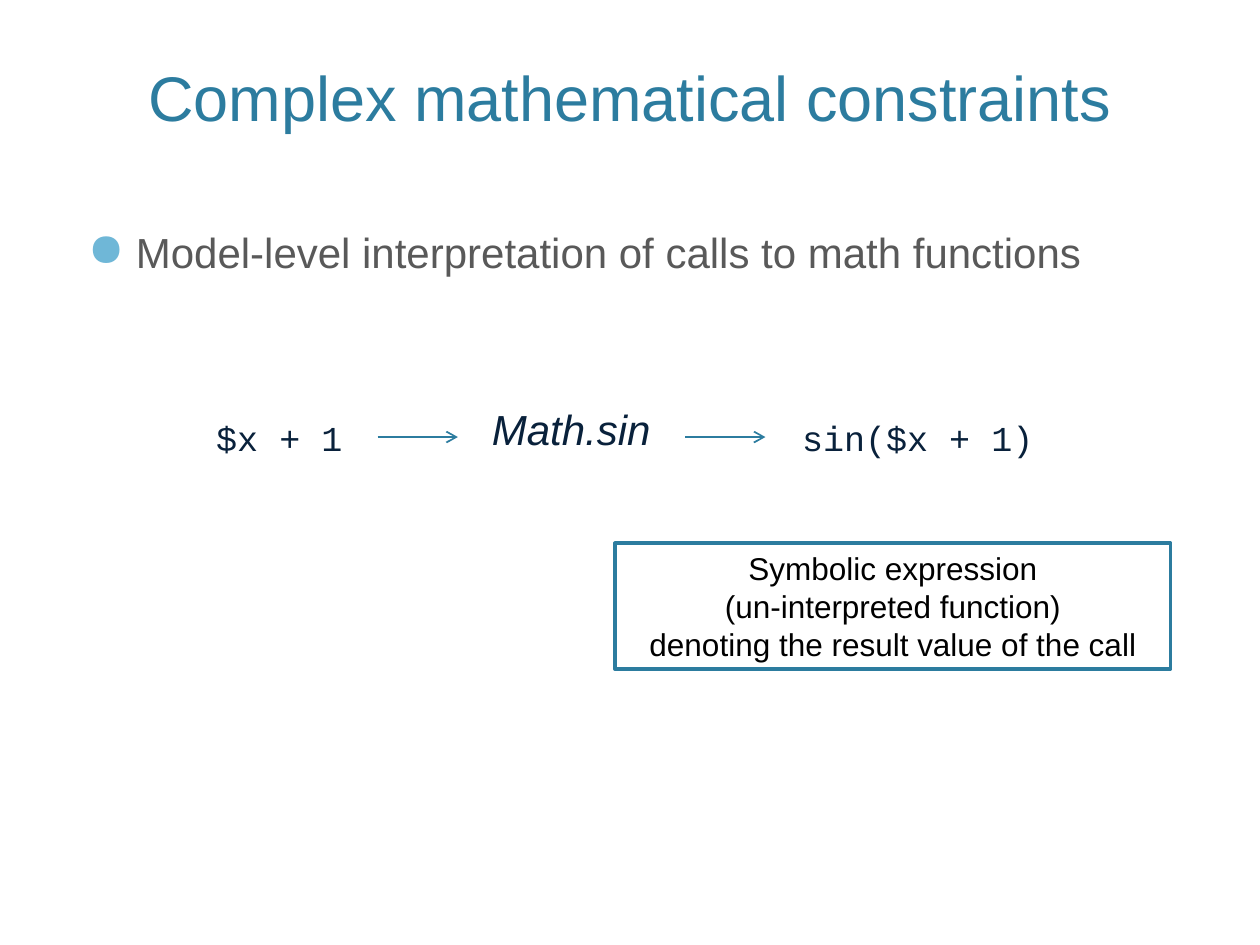
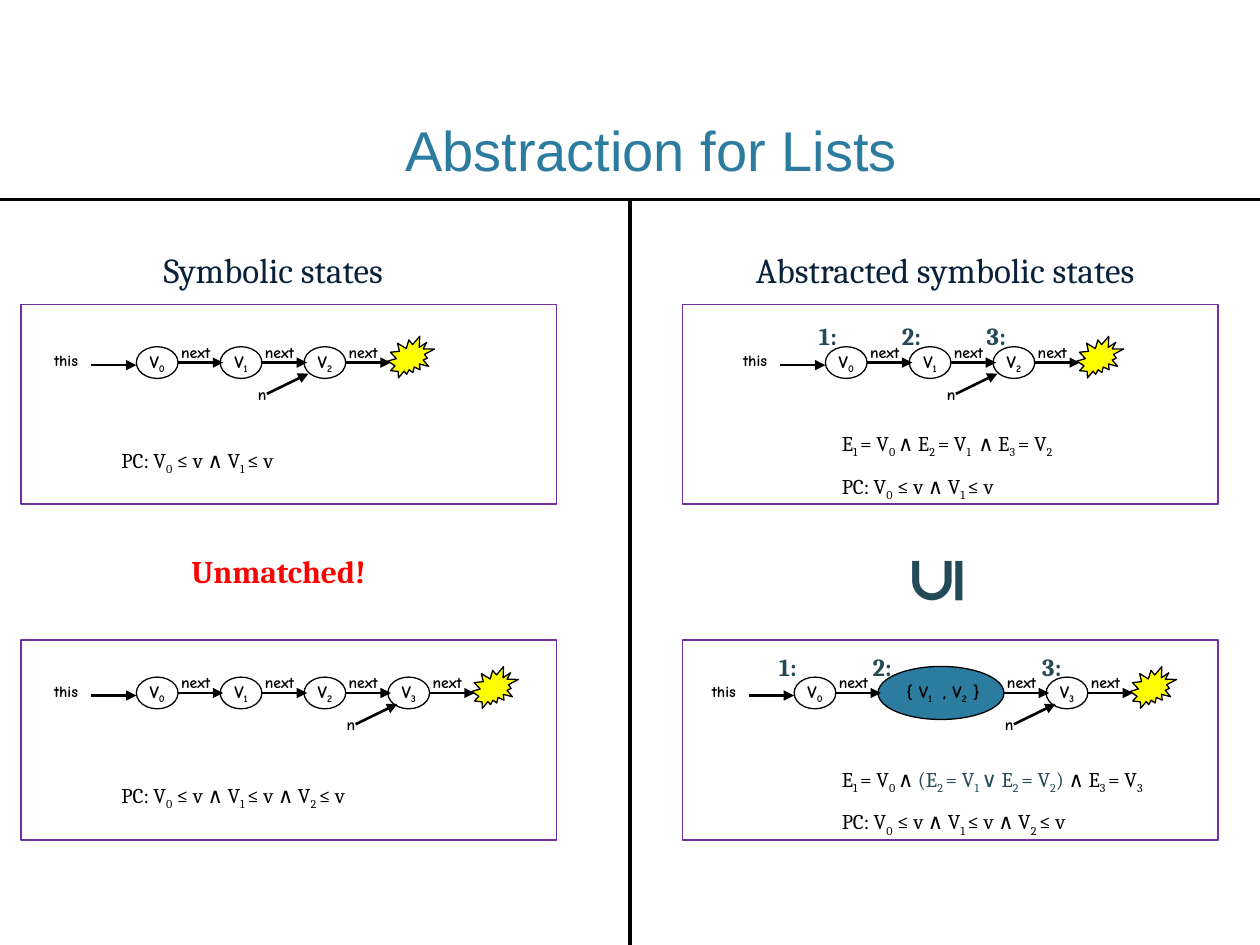
from itertools import accumulate

from lxml import etree
from pptx import Presentation
from pptx import util as u
from pptx.dml.color import RGBColor
from pptx.enum import shapes, text as t
from pptx.oxml.ns import qn

Cm, Pt = u.Cm, u.Pt
PRESET = shapes.MSO_SHAPE
ALIGN, ANCHOR = t.PP_ALIGN, t.MSO_ANCHOR

BLUE, NAVY, TEAL = "2C7C9F", "09213B", "244A58"
BLACK, WHITE, GREY = "000000", "FFFFFF", "595959"
BULLET, PURPLE, YELLOW, RED = "6FB7D7", "7030A0", "FFFF00", "FF0000"

NODE_WIDTH, NODE_HEIGHT, NODE_GAP = 0.84, 0.64, 0.85
WIDE_WIDTH, WIDE_HEIGHT = 2.54, 1.07
PANEL_WIDTH, PANEL_HEIGHT = 10.8, 4.02
PANEL_LEFTS, PANEL_TOPS = (0.42, 13.76), (6.14, 12.91)


def color(value):
    return RGBColor.from_string(value)


def write(shape, text, size=18, font="Arial", fill=BLACK, bold=False, italic=False,
          align=ALIGN.LEFT, anchor=ANCHOR.TOP, wrap=True, grow=False,
          line_spacing=None):
    """Fill a shape with one paragraph per line; parts between bars are subscripts.

    A line is a string or a list of (string, colour) pairs.
    """
    frame = shape.text_frame
    frame.word_wrap = wrap
    frame.vertical_anchor = anchor
    if grow:
        frame.auto_size = t.MSO_AUTO_SIZE.SHAPE_TO_FIT_TEXT
    lines = [text] if isinstance(text, str) else text
    for index, line in enumerate(lines):
        paragraph = frame.add_paragraph() if index else frame.paragraphs[0]
        paragraph.alignment = align
        if line_spacing:
            paragraph.line_spacing = line_spacing
        segments = [(line, fill)] if isinstance(line, str) else line
        for segment, segment_color in segments:
            for position, part in enumerate(segment.split("|")):
                if not part:
                    continue
                run = paragraph.add_run()
                run.text = part
                run.font.size, run.font.name = Pt(size), font
                run.font.bold, run.font.italic = bold, italic
                run.font.color.rgb = color(segment_color)
                if position % 2:
                    run.font._element.set("baseline", "-25000")
    return shape


def add_text(slide, box, text, **text_format):
    return write(slide.shapes.add_textbox(*map(Cm, box)), text, **text_format)


def add_label(slide, box, text, **text_format):
    """Add a text box that fits its unwrapped text."""
    return add_text(slide, box, text, wrap=False, grow=True, **text_format)


def add_shape(slide, preset, box, fill=None, line=BLACK, width=0.75):
    shape = slide.shapes.add_shape(preset, *map(Cm, box))
    shape.shadow.inherit = False
    if fill:
        shape.fill.solid()
        shape.fill.fore_color.rgb = color(fill)
    else:
        shape.fill.background()
    if line:
        shape.line.color.rgb = color(line)
        shape.line.width = Pt(width)
    else:
        shape.line.fill.background()
    return shape


def add_line(slide, start, end, line=BLACK, width=1.5, head=None):
    connector = slide.shapes.add_connector(
        shapes.MSO_CONNECTOR.STRAIGHT, *map(Cm, start + end))
    connector.line.color.rgb = color(line)
    connector.line.width = Pt(width)
    if head:
        etree.SubElement(connector.line._get_or_add_ln(), qn("a:tailEnd"), type=head)
    etree.SubElement(connector._element.spPr, qn("a:effectLst"))


def add_title(slide, box, text, size):
    add_text(slide, box, text, size=size, fill=BLUE,
             align=ALIGN.CENTER, anchor=ANCHOR.BOTTOM)


def add_bullet_text(slide, box, text):
    shape = add_text(slide, box, text, size=24, fill=GREY)
    paragraph = shape.text_frame.paragraphs[0]
    paragraph.space_before = Pt(20)
    properties = paragraph._p.get_or_add_pPr()
    properties.set("marL", str(Cm(0.97)))
    properties.set("indent", str(-Cm(0.97)))
    bullet_color = etree.SubElement(properties, qn("a:buClr"))
    etree.SubElement(bullet_color, qn("a:srgbClr"), val=BULLET)
    etree.SubElement(properties, qn("a:buSzPct"), val="110000")
    etree.SubElement(properties, qn("a:buChar"), char="●")


def add_call_flow(slide, left, top):
    """Argument, function and result, joined by arrows."""
    code = dict(size=20, font="Courier New", fill=NAVY)
    add_label(slide, (left, top + 0.71, 3.07, 1.09), "$x + 1", **code)
    add_text(slide, (left + 5.13, top, 4.55, 2.13), "Math.sin", size=24, fill=NAVY,
             italic=True, align=ALIGN.CENTER, anchor=ANCHOR.MIDDLE)
    add_label(slide, (left + 11.81, top + 0.71, 5.18, 1.09), "sin($x + 1)", **code)
    for x in (left + 3.5, left + 9.7):
        add_line(slide, (x, top + 1.24), (x + 1.62, top + 1.24), BLUE, 1, "arrow")


def add_callout(slide, box, lines):
    shape = add_shape(slide, PRESET.RECTANGLE, box, WHITE, BLUE, 2)
    write(shape, lines, align=ALIGN.CENTER)


def build_constraints_slide(slide):
    add_title(slide, (1.52, -0.89, 22.35, 3.71), "Complex mathematical constraints", 36)
    add_bullet_text(slide, (1.52, 4.45, 22.35, 12.07),
                    "Model-level interpretation of calls to math functions")
    add_call_flow(slide, 4.11, 7.57)
    add_callout(slide, (12.4, 10.95, 11.2, 2.54),
                ["Symbolic expression", "(un-interpreted function)",
                 "denoting the result value of the call"])


def add_node(slide, left, top, text, line=BLACK):
    shape = add_shape(slide, PRESET.OVAL, (left, top, NODE_WIDTH, NODE_HEIGHT), line=line)
    write(shape, text, size=10, font="Comic Neue", bold=True, wrap=False,
          align=ALIGN.CENTER, anchor=ANCHOR.MIDDLE)


def add_summary_node(slide, left, top, members):
    """One wide node that stands for several list nodes."""
    box = (left, top - (WIDE_HEIGHT - NODE_HEIGHT) / 2, WIDE_WIDTH, WIDE_HEIGHT)
    add_shape(slide, PRESET.OVAL, box, BLUE)
    for index, member in enumerate(members):
        add_node(slide, left + 0.41 + index * NODE_GAP, top, member, line=None)


def add_linked_list(slide, left, top, nodes, n_shift=0, number_offsets=()):
    """Draw a list whose first node is at left, top; a tuple is a summary node."""
    note = dict(size=9, font="Comic Neue", bold=True)
    widths = [WIDE_WIDTH if isinstance(node, tuple) else NODE_WIDTH for node in nodes]
    *lefts, end = accumulate((width + NODE_GAP for width in widths), initial=left)

    for x, node in zip(lefts, nodes):
        draw = add_summary_node if isinstance(node, tuple) else add_node
        draw(slide, x, top, node)

    add_label(slide, (left - 1.91, top - 0.04, 1.09, 0.64), "this", **note)
    add_line(slide, (left - 0.92, top + 0.37), (left, top + 0.37), head="triangle")
    for x, width in zip(lefts, widths):
        right = x + width
        add_line(slide, (right, top + 0.32), (right + 0.91, top + 0.32), head="triangle")
        add_label(slide, (right - 0.19, top - 0.21, 1.19, 0.64), "next", **note)

    n_left = lefts[-1] - 1.18 + n_shift
    add_label(slide, (n_left, top + 0.64, 0.69, 0.64), "n", **note)
    add_line(slide, (n_left + 0.43, top + 0.95), (n_left + 1.27, top + 0.54),
             head="triangle")
    add_shape(slide, PRESET.EXPLOSION2, (end, top - 0.21, 0.94, 0.84), YELLOW)

    for number, (x, offset) in enumerate(zip(lefts, number_offsets), 1):
        add_label(slide, (x + offset, top - 0.64, 0.91, 0.84), f"{number}:",
                  size=14, font="Cambria", fill=TEAL, bold=True)


def add_state_panel(slide, left, top, list_at, formula_box, formula, **list_parts):
    """Frame a list with its formula; both are placed relative to the frame."""
    add_linked_list(slide, left + list_at[0], top + list_at[1], **list_parts)
    x, y, width, height = formula_box
    add_label(slide, (left + x, top + y, width, height), formula, size=12,
              font="Cambria", line_spacing=1.5 if len(formula) > 1 else None)
    add_shape(slide, PRESET.RECTANGLE, (left, top, PANEL_WIDTH, PANEL_HEIGHT),
              line=PURPLE, width=1)


def build_lists_slide(slide):
    add_title(slide, (4.24, 1.9, 17.78, 1.9), "Abstraction for Lists", 32)
    heading = dict(size=20, font="Cambria", fill=NAVY)
    add_text(slide, (3.05, 4.88, 7.19, 1.09), "Symbolic states", **heading)
    add_label(slide, (14.99, 4.88, 8.18, 1.12), "Abstracted symbolic states", **heading)

    first_left, second_left = PANEL_LEFTS
    upper, lower = PANEL_TOPS
    short_list = ["V|0", "V|1", "V|2"]
    short_condition = "PC: V|0| ≤ v ∧ V|1 |≤ v"
    long_condition = short_condition + " ∧ V|2 |≤ v"

    add_state_panel(slide, first_left, upper, (2.33, 0.85), (1.78, 2.75, 3.99, 0.76),
                    [short_condition], nodes=short_list)
    add_state_panel(slide, first_left, lower, (2.33, 0.74), (1.78, 2.74, 5.51, 0.76),
                    [long_condition], nodes=short_list + ["V|3"], n_shift=0.1)
    add_state_panel(slide, second_left, upper, (2.88, 0.85), (2.96, 2.12, 5.41, 1.78),
                    ["E|1 |= V|0 |∧ E|2 |= V|1 | ∧ E|3 |= V|2", short_condition],
                    nodes=short_list, number_offsets=(-0.38, -0.4, -0.38))
    add_state_panel(slide, second_left, lower, (2.25, 0.74), (2.96, 2.12, 7.21, 1.78),
                    [[("E|1 |= V|0 |∧ ", BLACK),
                      ("(E|2 |= V|1 |∨ E|2 |= V|2|)", TEAL),
                      (" ∧ E|3 |= V|3", BLACK)], long_condition],
                    nodes=["V|0", ("{ V|1", ", V|2| }"), "V|3"], n_shift=0.1,
                    number_offsets=(-0.56, -0.36, -0.33))

    add_label(slide, (3.61, 11, 4.98, 1.27), "Unmatched!", size=18, font="Cambria",
              fill=RED, bold=True)
    subset = add_label(slide, (18.08, 10.9, 1.42, 1.78), "⊆", size=36, font="Cambria",
                       fill=TEAL, bold=True)
    subset.rotation = 270
    add_line(slide, (12.7, 4.02), (12.7, 19.05), width=2)
    add_line(slide, (0, 4.02), (25.4, 4.02), width=2)


def main():
    presentation = Presentation()
    presentation.slide_width, presentation.slide_height = Cm(25.4), Cm(19.05)
    for build in (build_constraints_slide, build_lists_slide):
        build(presentation.slides.add_slide(presentation.slide_layouts[6]))
    presentation.save("out.pptx")


if __name__ == "__main__":
    main()
